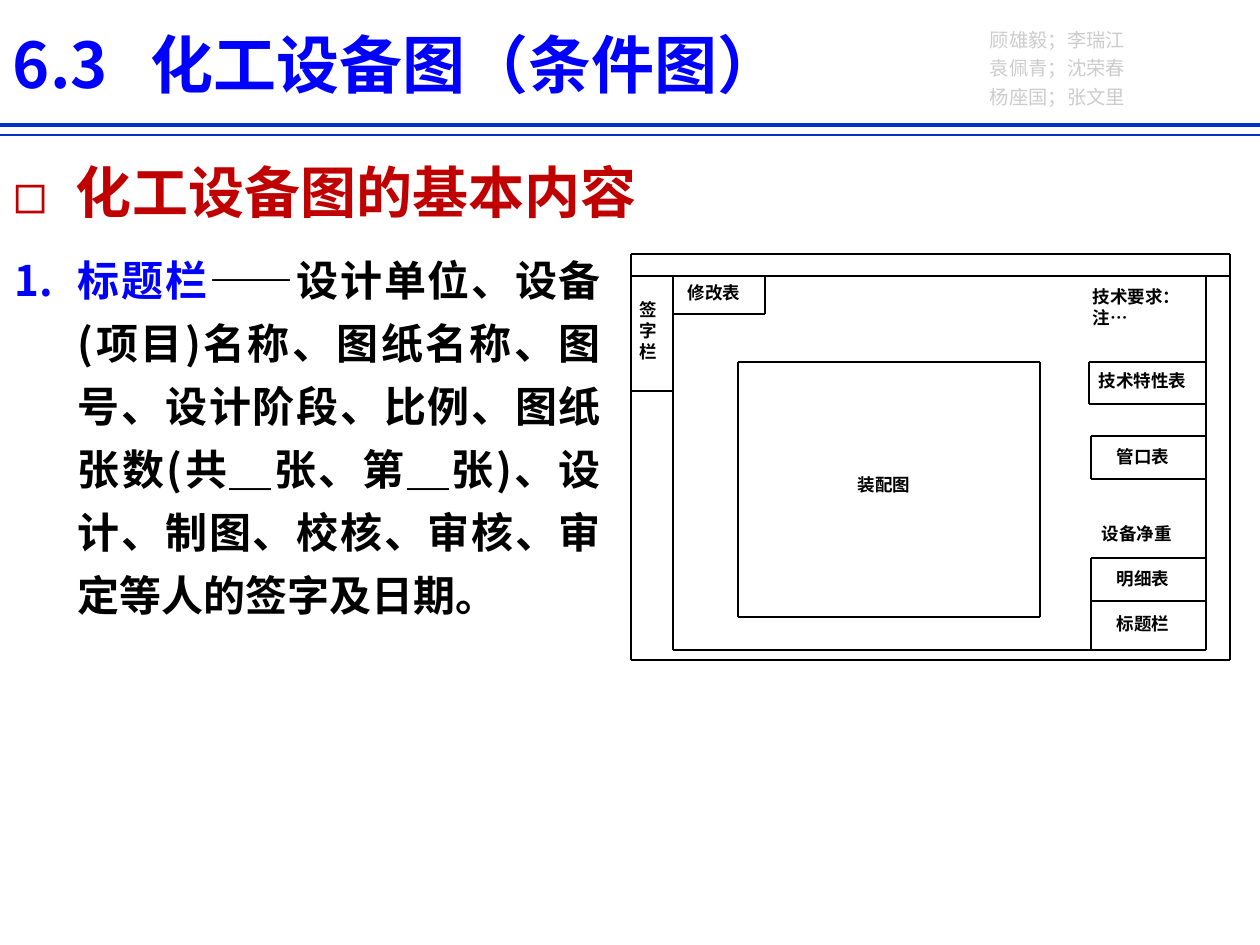
from lxml.etree import SubElement
from pptx import Presentation
from pptx.dml.color import RGBColor
from pptx.enum.shapes import MSO_CONNECTOR
from pptx.enum.text import MSO_ANCHOR, MSO_AUTO_SIZE, PP_ALIGN
from pptx.oxml.ns import qn
from pptx.util import Pt

PX = 914400 / 126
FONT = "Noto Sans CJK SC"
BLACK = RGBColor(0x00, 0x00, 0x00)
BLUE = RGBColor(0x00, 0x00, 0xFF)
RULE_BLUE = RGBColor(0x00, 0x33, 0xCC)
RED = RGBColor(0xC0, 0x00, 0x00)
GREY = RGBColor(0xCC, 0xCC, 0xCC)


def px(length):
    return round(length * PX)


def place(shape, left, top, width, height):
    shape.left, shape.top = px(left), px(top)
    shape.width, shape.height = px(width), px(height)


def set_frame(frame, insets=(13, 6, 13, 6), anchor=MSO_ANCHOR.TOP):
    frame.word_wrap = True
    frame.auto_size = MSO_AUTO_SIZE.NONE
    frame.vertical_anchor = anchor
    frame.margin_left, frame.margin_top, frame.margin_right, frame.margin_bottom = map(px, insets)


def add_run(paragraph, text, size, color, bold=True):
    run = paragraph.add_run()
    run.text = text
    run.font.size = Pt(size)
    run.font.bold = bold
    run.font.color.rgb = color
    run.font.name = FONT
    SubElement(run.font._element, qn("a:ea"), typeface=FONT)


def set_lines(paragraph, pitch, align=PP_ALIGN.LEFT):
    paragraph.alignment = align
    paragraph.line_spacing = Pt(pitch)
    paragraph.space_before = Pt(0)


def set_marker(paragraph, tag, **attributes):
    properties = paragraph._p.get_or_add_pPr()
    properties.set("marL", str(px(63)))
    properties.set("indent", str(px(-63)))
    SubElement(properties, qn("a:buFont"), typeface=FONT)
    SubElement(properties, qn(tag), **attributes)


def add_line(shapes, x1, y1, x2, y2, color=BLACK, weight=1):
    line = shapes.add_connector(MSO_CONNECTOR.STRAIGHT, px(x1), px(y1), px(x2), px(y2))
    line.line.color.rgb = color
    line.line.width = Pt(weight)
    SubElement(line._element.spPr, qn("a:effectLst"))


def add_text(shapes, box, lines, size, pitch, color, bold, align, insets=(13, 6, 13, 6)):
    text = shapes.add_textbox(0, 0, 0, 0)
    place(text, *box)
    frame = text.text_frame
    set_frame(frame, insets)
    for index, line in enumerate(lines):
        paragraph = frame.add_paragraph() if index else frame.paragraphs[0]
        set_lines(paragraph, pitch, align)
        add_run(paragraph, line, size, color, bold)


def build_header(slide, left, top, width, height):
    title = slide.shapes.title
    place(title, left, top + 19, width, 90)
    set_frame(title.text_frame, anchor=MSO_ANCHOR.MIDDLE)
    paragraph = title.text_frame.paragraphs[0]
    set_lines(paragraph, 43)
    tabs = SubElement(paragraph._p.get_or_add_pPr(), qn("a:tabLst"))
    SubElement(tabs, qn("a:tab"), pos=str(px(137)), algn="l")
    add_run(paragraph, "6.3\t化工设备图（条件图）", 36, BLUE)
    add_text(slide.shapes, (left + 977, top + 16, 179, 97),
             ("顾雄毅；李瑞江", "袁佩青；沈荣春", "杨座国；张文里"),
             11, 16.5, GREY, False, PP_ALIGN.JUSTIFY)
    for y, weight in ((height - 10, 2.25), (height, 1)):
        add_line(slide.shapes, left, top + y, left + width, top + y, RULE_BLUE, weight)


def build_heading(heading, *box):
    place(heading, *box)
    set_frame(heading.text_frame)
    paragraph = heading.text_frame.paragraphs[0]
    set_lines(paragraph, 48, PP_ALIGN.JUSTIFY)
    set_marker(paragraph, "a:buChar", char="◻")
    add_run(paragraph, "化工设备图的基本内容", 32, RED)


def build_contents(contents, *box):
    place(contents, *box)
    set_frame(contents.text_frame)
    paragraph = contents.text_frame.paragraphs[0]
    set_lines(paragraph, 36, PP_ALIGN.JUSTIFY)
    set_marker(paragraph, "a:buAutoNum", type="arabicPeriod")
    add_run(paragraph, "标题栏", 24, BLUE)
    add_run(paragraph, "——设计单位、设备(项目)名称、图纸名称、图号、设计阶段、比例、"
            "图纸张数(共＿张、第＿张)、设计、制图、校核、审核、审定等人的签字及日期。", 24, BLACK)


def build_drawing(slide, left, top, width, height):
    shapes = slide.shapes.add_group_shape().shapes
    horizontals = (
        (0, 0, width), (height, 0, width), (22, 0, width), (396, 42, 575),
        (60, 42, 134), (137, 0, 42), (108, 107, 409), (363, 107, 409),
        (108, 458, 574), (150, 458, 574), (182, 460, 575), (225, 460, 575),
        (304, 460, 575), (347, 460, 575),
    )
    verticals = (
        (0, 0, height), (width, 0, height), (42, 22, 396), (575, 22, 396),
        (134, 22, 60), (107, 108, 363), (409, 108, 363),
        (458, 108, 150), (460, 182, 225), (460, 304, 396),
    )
    for y, start, end in horizontals:
        add_line(shapes, left + start, top + y, left + end, top + y)
    for x, start, end in verticals:
        add_line(shapes, left + x, top + start, left + x, top + end)

    wide, narrow = (126, 34), (87, 34)
    labels = (
        (44, 22, narrow, ("修改表",)),
        (214, 214, narrow, ("装配图",)),
        (455, 110, wide, ("技术特性表",)),
        (473, 186, narrow, ("管口表",)),
        (473, 353, narrow, ("标题栏",)),
        (473, 308, narrow, ("明细表",)),
        (458, 263, wide, ("设备净重",)),
        (449, 26, (126, 77), ("技术要求：", "注…")),
    )
    for x, y, size, lines in labels:
        add_text(shapes, (left + x, top + y, *size), lines, 10, 12, BLACK, True, PP_ALIGN.LEFT)
    add_text(shapes, (left, top + 39, 21, 77), ("签字栏",), 10, 12, BLACK, True,
             PP_ALIGN.LEFT, (9, 6, 0, 6))


def main():
    presentation = Presentation()
    presentation.slide_width, presentation.slide_height = px(1260), px(945)
    slide = presentation.slides.add_slide(presentation.slide_layouts[3])
    build_header(slide, 0, 0, 1260, 135)
    build_heading(slide.placeholders[1], 0, 135, 1235, 175)
    build_contents(slide.placeholders[2], 2, 236, 612, 388)
    build_drawing(slide, 631, 254, 599, 406)
    presentation.save("out.pptx")


if __name__ == "__main__":
    main()
